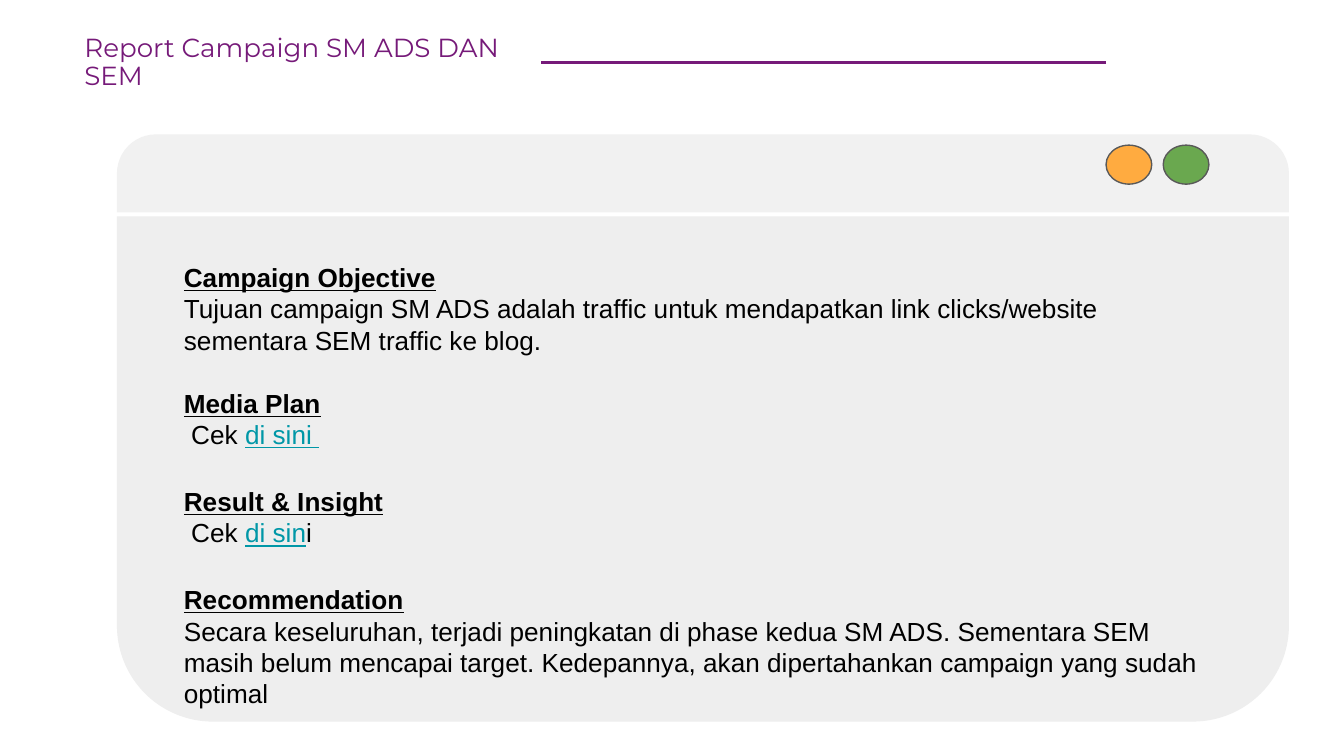
from lxml import etree
from pptx import Presentation
from pptx import util as u
from pptx.dml.color import RGBColor
from pptx.enum import shapes, text
from pptx.oxml.ns import qn

PURPLE = RGBColor(0x76, 0x1A, 0x79)
PANEL = RGBColor(0xEE, 0xEE, 0xEE)
HEADER = RGBColor(0xF1, 0xF1, 0xF1)
ORANGE = RGBColor(0xFF, 0xAB, 0x40)
GREEN = RGBColor(0x6A, 0xA8, 0x4F)
OUTLINE = RGBColor(0x59, 0x59, 0x59)
TEAL = RGBColor(0x00, 0x97, 0xA7)
BLACK = RGBColor(0, 0, 0)

CELL = 0.1
COLUMNS, ROWS = 100, 56.25


class SlideBuilder:
    text_size = 14
    title_font = "Montserrat"
    body_font = "Arial"

    def __init__(self, presentation):
        self.slide = presentation.slides.add_slide(presentation.slide_layouts[6])

    def grid(self, *cells):
        return [u.Inches(cell * CELL) for cell in cells]

    def line(self, start, end, color, width):
        connector = self.slide.shapes.add_connector(
            shapes.MSO_CONNECTOR.STRAIGHT, *self.grid(*start, *end))
        connector.line.color.rgb = color
        connector.line.width = u.Pt(width)
        etree.SubElement(connector._element.spPr, qn("a:effectLst"))

    def shape(self, kind, box, fill, adjustments=(), outline=None):
        shape = self.slide.shapes.add_shape(kind, *self.grid(*box))
        shape.shadow.inherit = False
        for index, value in enumerate(adjustments):
            shape.adjustments[index] = value
        shape.fill.solid()
        shape.fill.fore_color.rgb = fill
        if outline is None:
            shape.line.fill.background()
        else:
            shape.line.color.rgb = outline
            shape.line.width = u.Pt(0.75)

    def text_box(self, box, anchor):
        frame = self.slide.shapes.add_textbox(*self.grid(*box)).text_frame
        frame.word_wrap = True
        frame.vertical_anchor = anchor
        frame.margin_left = frame.margin_right = u.Inches(0.1)
        frame.margin_top = frame.margin_bottom = u.Inches(0.1)
        return frame

    def run(self, paragraph, words, font, color=BLACK, bold=False, underline=False):
        run = paragraph.add_run()
        run.text = words
        run.font.name = font
        run.font.size = u.Pt(self.text_size)
        run.font.color.rgb = color
        run.font.bold = bold
        run.font.underline = underline

    def title(self, box, words):
        paragraph = self.text_box(box, text.MSO_ANCHOR.MIDDLE).paragraphs[0]
        paragraph.line_spacing = 0.9
        self.run(paragraph, words, self.title_font, PURPLE)

    def sections(self, box, sections):
        frame = self.text_box(box, text.MSO_ANCHOR.TOP)
        for index, (gap, heading, body) in enumerate(sections):
            paragraph = frame.add_paragraph() if index else frame.paragraphs[0]
            if gap:
                paragraph.space_before = u.Pt(gap)
            self.run(paragraph, heading, self.body_font, bold=True, underline=True)
            paragraph = frame.add_paragraph()
            for words, is_link in body:
                self.run(paragraph, words, self.body_font,
                         TEAL if is_link else BLACK, underline=is_link)


SECTIONS = [
    (0, "Campaign Objective", [
        ("Tujuan campaign SM ADS adalah traffic untuk mendapatkan link "
         "clicks/website sementara SEM traffic ke blog.", False)]),
    (17, "Media Plan", [(" Cek ", False), ("di sini ", True)]),
    (19, "Result & Insight", [(" Cek ", False), ("di sin", True), ("i", False)]),
    (19, "Recommendation", [
        ("Secara keseluruhan, terjadi peningkatan di phase kedua SM ADS. "
         "Sementara SEM masih belum mencapai target. Kedepannya, akan "
         "dipertahankan campaign yang sudah optimal", False)]),
]


def main():
    presentation = Presentation()
    presentation.slide_width = u.Inches(COLUMNS * CELL)
    presentation.slide_height = u.Inches(ROWS * CELL)
    builder = SlideBuilder(presentation)

    builder.line((82.3, 4.65), (40.25, 4.65), PURPLE, 1.5)
    builder.title((5.3, 1.55, 35.3, 6.3), "Report Campaign SM ADS DAN SEM")

    rounded = shapes.MSO_SHAPE.ROUND_2_SAME_RECTANGLE
    builder.shape(rounded, (8.7, 16.1, 87.2, 37.6), PANEL, (0, 0.19))
    builder.shape(rounded, (8.7, 10, 87.2, 5.8), HEADER, (0.5, 0))
    builder.sections((12.7, 18.45, 78.4, 35.7), SECTIONS)

    for index, color in enumerate((ORANGE, GREEN)):
        builder.shape(shapes.MSO_SHAPE.OVAL, (82.3 + index * 4.25, 10.8, 3.4, 2.9),
                      color, outline=OUTLINE)

    presentation.save("out.pptx")


if __name__ == "__main__":
    main()
